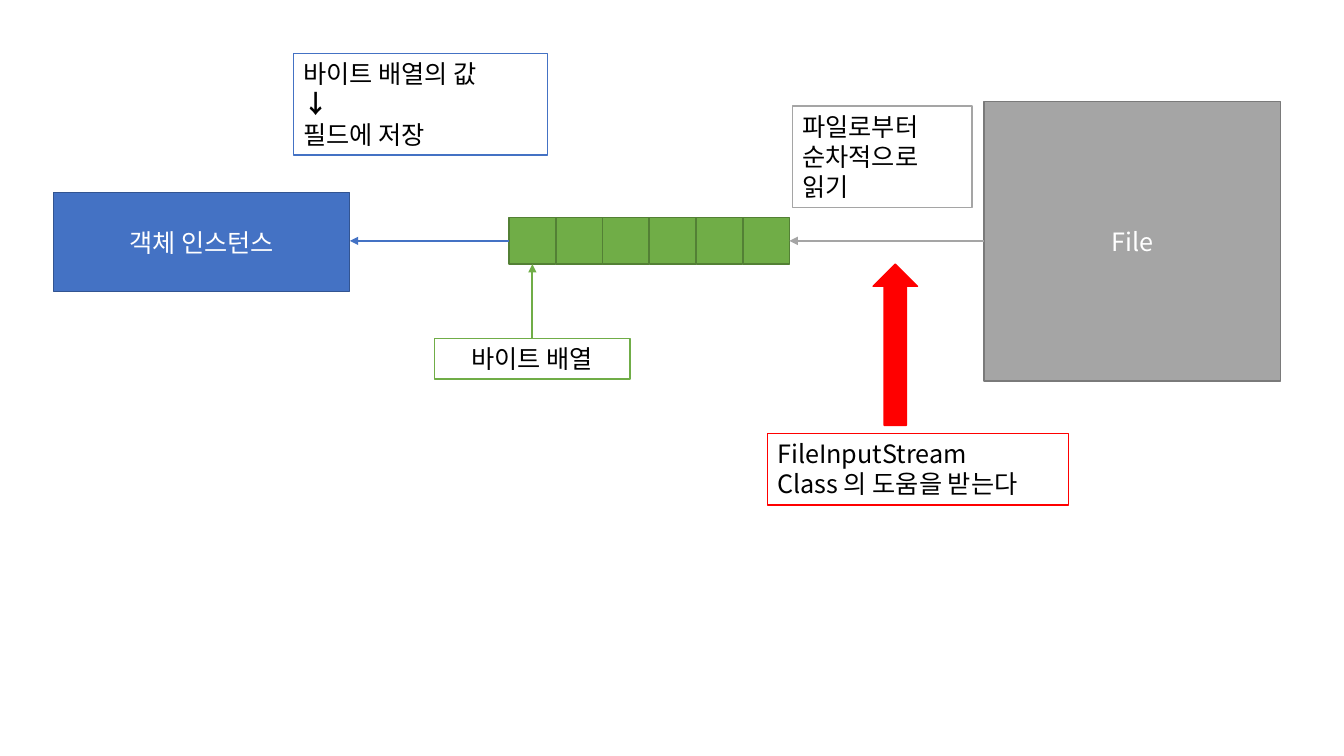
from dataclasses import dataclass

import pptx
import pptx.dml.color
import pptx.enum.shapes
import pptx.enum.text
import pptx.oxml
import pptx.oxml.ns
import pptx.slide
import pptx.util

Inches = pptx.util.Inches
RGBColor = pptx.dml.color.RGBColor
Shape = pptx.enum.shapes.MSO_SHAPE
Align = pptx.enum.text.PP_ALIGN
Anchor = pptx.enum.text.MSO_ANCHOR

FONT = "Noto Sans CJK KR"
WHITE = RGBColor(0xFF, 0xFF, 0xFF)
BLACK = RGBColor(0x00, 0x00, 0x00)
BLUE = RGBColor(0x44, 0x72, 0xC4)
DARK_BLUE = RGBColor(0x32, 0x54, 0x91)
GRAY = RGBColor(0xA5, 0xA5, 0xA5)
DARK_GRAY = RGBColor(0x7A, 0x7A, 0x7A)
GREEN = RGBColor(0x70, 0xAD, 0x47)
DARK_GREEN = RGBColor(0x53, 0x80, 0x35)
RED = RGBColor(0xFF, 0x00, 0x00)

FLOW_Y = 2.39
CELL_COUNT = 6
CELL_SIZE = 0.46
CELL_PITCH = 0.464
ARRAY_LEFT = 5.05


@dataclass(frozen=True)
class Box:
    left: float
    top: float
    width: float
    height: float
    fill: RGBColor
    line: RGBColor
    lines: tuple[str, ...] = ()
    color: RGBColor = BLACK
    align: Align = Align.LEFT
    anchor: Anchor = Anchor.TOP
    kind: Shape = Shape.RECTANGLE


@dataclass(frozen=True)
class Arrow:
    start: tuple[float, float]
    end: tuple[float, float]
    color: RGBColor


def draw_box(page: pptx.slide.Slide, box: Box) -> None:
    shape = page.shapes.add_shape(
        box.kind, Inches(box.left), Inches(box.top), Inches(box.width), Inches(box.height)
    )
    shape.shadow.inherit = False
    shape.fill.solid()
    shape.fill.fore_color.rgb = box.fill
    shape.line.color.rgb = box.line
    shape.line.width = pptx.util.Pt(1)
    if not box.lines:
        return
    frame = shape.text_frame
    frame.word_wrap = True
    frame.vertical_anchor = box.anchor
    for index, line in enumerate(box.lines):
        para = frame.paragraphs[0] if index == 0 else frame.add_paragraph()
        para.text = line
        para.alignment = box.align
        para.font.name = FONT
        para.font.size = pptx.util.Pt(18)
        para.font.bold = line == "↓"
        para.font.color.rgb = box.color


def draw_arrow(page: pptx.slide.Slide, arrow: Arrow) -> None:
    connector = page.shapes.add_connector(
        pptx.enum.shapes.MSO_CONNECTOR.STRAIGHT,
        *(Inches(value) for value in arrow.start + arrow.end),
    )
    connector.line.color.rgb = arrow.color
    connector.line.width = pptx.util.Pt(1.5)
    namespace = pptx.oxml.ns.nsdecls("a")
    line = connector.line._get_or_add_ln()
    line.append(pptx.oxml.parse_xml(f'<a:tailEnd {namespace} type="triangle"/>'))
    connector._element.spPr.append(pptx.oxml.parse_xml(f"<a:effectLst {namespace}/>"))


CELLS = [
    Box(ARRAY_LEFT + index * CELL_PITCH, 2.16, CELL_SIZE, CELL_SIZE, GREEN, DARK_GREEN)
    for index in range(CELL_COUNT)
]

BOXES = [
    # Object instance and file
    Box(0.53, 1.91, 2.94, 0.98, BLUE, DARK_BLUE, ("객체 인스턴스",),
        WHITE, Align.CENTER, Anchor.MIDDLE),
    Box(9.76, 1.01, 2.94, 2.77, GRAY, DARK_GRAY, ("File",),
        WHITE, Align.CENTER, Anchor.MIDDLE),
    # Byte array
    *CELLS,
    # Explanations
    Box(2.91, 0.53, 2.52, 1.01, WHITE, BLUE, ("바이트 배열의 값", "↓", "필드에 저장")),
    Box(4.31, 3.36, 1.94, 0.4, WHITE, GREEN, ("바이트 배열",), align=Align.CENTER),
    Box(7.86, 1.05, 1.78, 1.01, WHITE, GRAY, ("파일로부터", "순차적으로", "읽기")),
    Box(7.61, 4.3, 2.99, 0.71, WHITE, RED, ("FileInputStream", "Class 의 도움을 받는다")),
    Box(8.66, 2.62, 0.44, 1.6, RED, RED, kind=Shape.UP_ARROW),
]

ARROWS = [
    Arrow((ARRAY_LEFT, FLOW_Y), (3.47, FLOW_Y), BLUE),
    Arrow((5.28, 3.36), (5.28, 2.62), GREEN),
    Arrow((9.76, FLOW_Y), (7.83, FLOW_Y), GRAY),
]


def main() -> None:
    deck = pptx.Presentation()
    deck.slide_width = Inches(13.33)
    deck.slide_height = Inches(7.5)
    page = deck.slides.add_slide(deck.slide_layouts[6])
    for box in BOXES:
        draw_box(page, box)
    for arrow in ARROWS:
        draw_arrow(page, arrow)
    deck.save("out.pptx")


if __name__ == "__main__":
    main()
